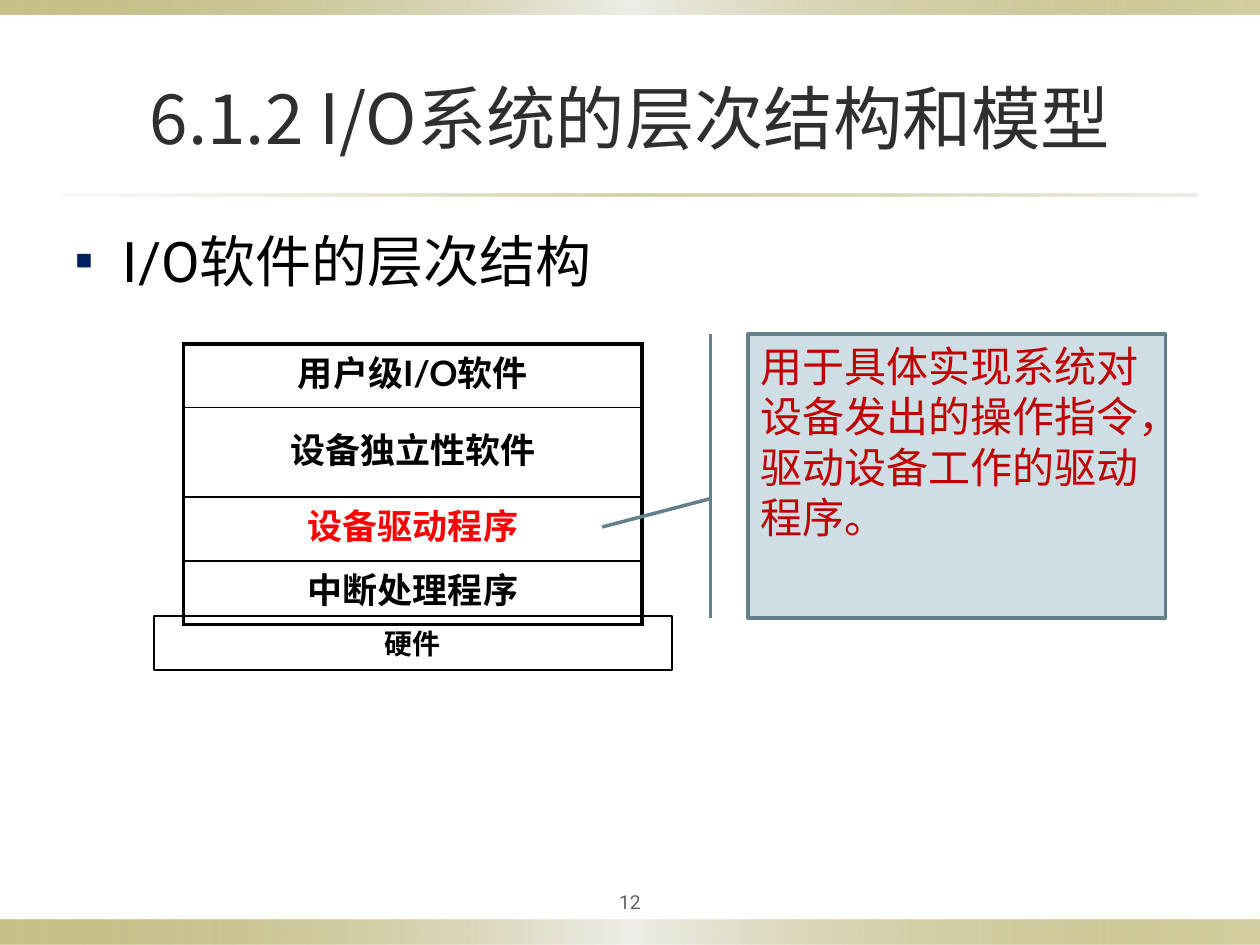
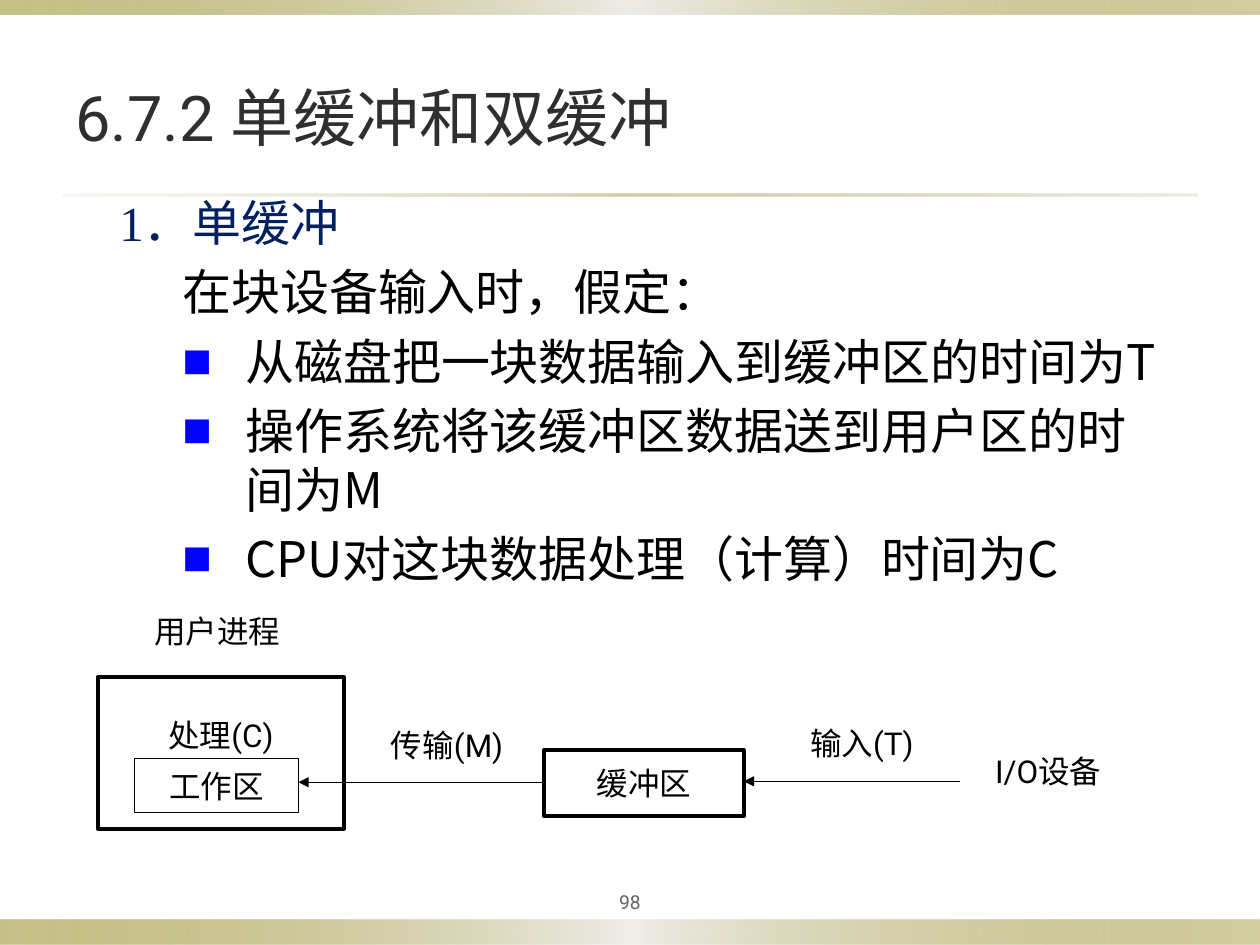
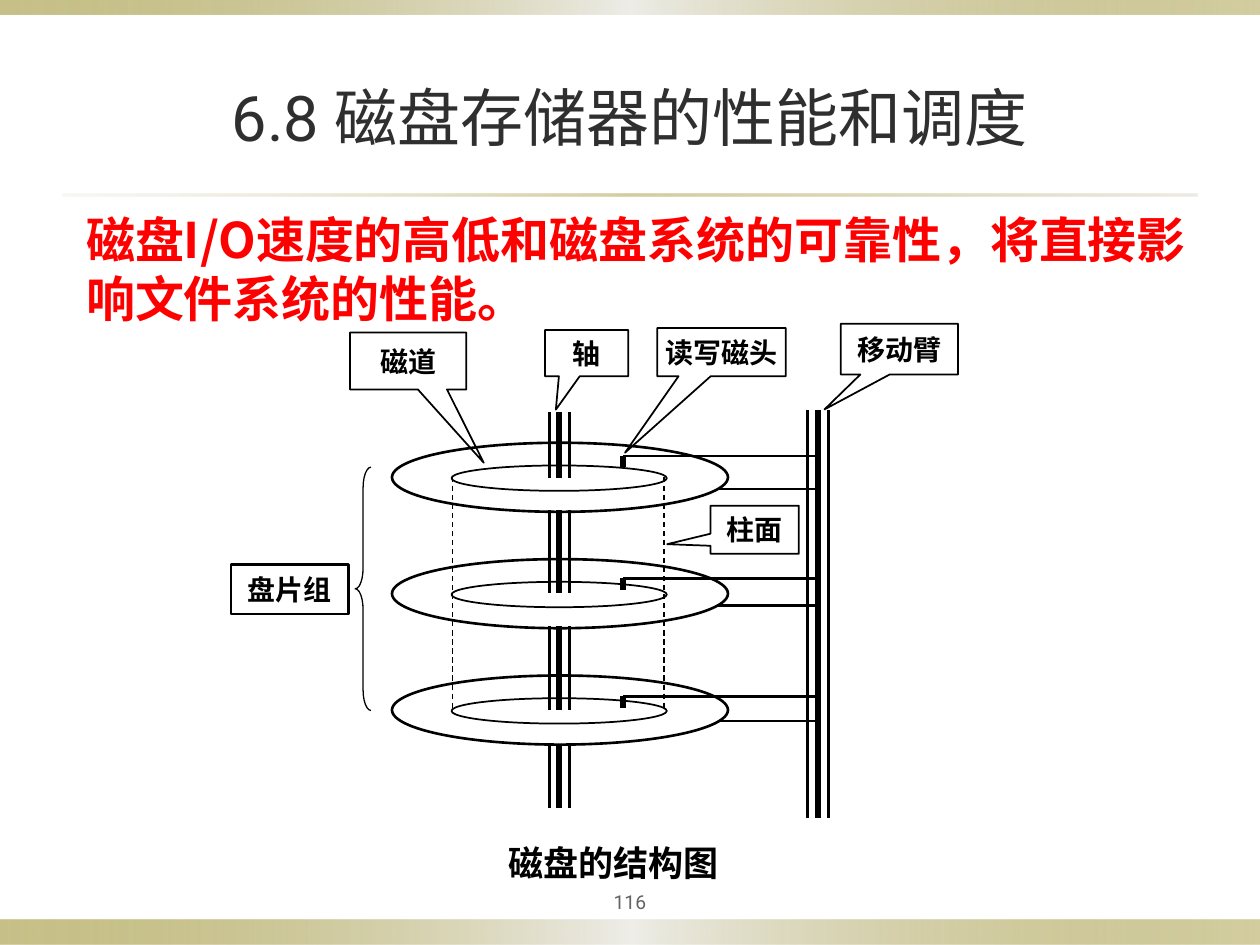
from lxml import etree
from pptx import Presentation
from pptx.dml.color import RGBColor
from pptx.enum import dml, lang, shapes, text
from pptx.oxml import ns, parse_xml
from pptx.util import Pt

BLACK = RGBColor(0x00, 0x00, 0x00)
WHITE = RGBColor(0xFF, 0xFF, 0xFF)
RED = RGBColor(0xFF, 0x00, 0x00)
BRICK = RGBColor(0xC0, 0x00, 0x00)
NAVY = RGBColor(0x00, 0x20, 0x60)
BLUE = RGBColor(0x00, 0x00, 0xFF)
INK = RGBColor(0x2F, 0x2F, 0x2F)
GRAY = RGBColor(0x63, 0x63, 0x63)
OLIVE = RGBColor(0x91, 0x84, 0x15)
PEARL = RGBColor(0xEE, 0xED, 0xE8)
SAND = RGBColor(0xDC, 0xD9, 0xCC)
MIST = RGBColor(0xCE, 0xDE, 0xE4)
STEEL = RGBColor(0x62, 0x80, 0x8B)
SANS, HAN, LATO, SERIF = "Roboto", "Noto Sans CJK SC", "Lato", "Times New Roman"
FORM = shapes.MSO_SHAPE
LEFT, MID = text.PP_ALIGN.LEFT, text.PP_ALIGN.CENTER


def style(par, words, size, face=SANS, tint=BLACK, bold=False, align=MID):
    par.text = words
    par.alignment = align
    par.line_spacing = Pt(round(size * 1.2, 1))
    font = par.font
    font.size, font.name, font.bold = Pt(size), face, bold
    font.color.rgb = tint
    font.language_id = lang.MSO_LANGUAGE_ID.SIMPLIFIED_CHINESE


def wire(page, x1, y1, x2, y2, width, dash=False, arrow=False):
    line = page.shapes.add_connector(
        shapes.MSO_CONNECTOR.STRAIGHT, Pt(x1), Pt(y1), Pt(x2), Pt(y2))
    line.line.color.rgb = BLACK
    line.line.width = Pt(width)
    if dash:
        line.line.dash_style = dml.MSO_LINE.DASH
    props = line.element.spPr
    if arrow:
        etree.SubElement(props.find(ns.qn("a:ln")), ns.qn("a:tailEnd"), type="triangle")
    etree.SubElement(props, ns.qn("a:effectLst"))


deck = Presentation()
deck.slide_width, deck.slide_height = Pt(720), Pt(540)

heads = [
    ("6.1.2 I/O系统的层次结构和模型", 39.6, HAN, MID, "12"),
    ("6.7.2 单缓冲和双缓冲", 36, SANS, LEFT, "98"),
    ("6.8 磁盘存储器的性能和调度", 36, SANS, MID, "116"),
]
pages = []
for words, size, face, align, number in heads:
    page = deck.slides.add_slide(deck.slide_layouts[1])
    pages.append(page)
    title = page.shapes.title
    title.left, title.top, title.width, title.height = Pt(36), Pt(21.5), Pt(648), Pt(90)
    title.text_frame.auto_size = text.MSO_AUTO_SIZE.NONE
    title.text_frame.vertical_anchor = text.MSO_ANCHOR.MIDDLE
    style(title.text_frame.paragraphs[0], words, size, face, INK, align=align)
    foot = page.shapes.add_textbox(Pt(324), Pt(504), Pt(72), Pt(22.5)).text_frame
    foot.word_wrap = True
    foot.vertical_anchor = text.MSO_ANCHOR.MIDDLE
    style(foot.paragraphs[0], number, 11, SANS, GRAY)
layers, buffer, disk = pages

edge = [(0, OLIVE, 50), (50, PEARL, 100), (100, OLIVE, 40)]
rule = [(0, SAND, 20), (50, OLIVE, 40), (100, SAND, 50)]
bands = [(0, 525.5, 720, 14.5, edge), (0, 0, 720, 8.5, edge), (36, 110.75, 648, 1.5, rule)]
tree = deck.slide_master.element.cSld.spTree
for index, (x, y, w, h, stops) in enumerate(bands):
    band = layers.shapes.add_shape(FORM.RECTANGLE, Pt(x), Pt(y), Pt(w), Pt(h))
    band.shadow.inherit = False
    band.line.fill.background()
    band.fill.background()
    marks = "".join(
        f'<a:gs pos="{at * 1000}"><a:srgbClr val="{tint}">'
        f'<a:alpha val="{alpha * 1000}"/></a:srgbClr></a:gs>' for at, tint, alpha in stops)
    props = band.element.spPr
    props.replace(props.find(ns.qn("a:noFill")), parse_xml(
        f'<a:gradFill {ns.nsdecls("a")}><a:gsLst>{marks}</a:gsLst><a:lin ang="0"/></a:gradFill>'))
    band.element.nvSpPr.cNvPr.set("id", str(90 + index))
    tree.insert(2 + index, band.element)

lists = [
    (layers, (36, 126, 648, 369.5), [
        ("I/O软件的层次结构", 32, SANS, BLACK, False, 0, 27, -27, NAVY, 50)]),
    (buffer, (25, 106.5, 653, 236), [
        ("1．单缓冲", 28, SERIF, NAVY, False, 1, 72, -36, None, 100),
        ("在块设备输入时，假定：", 28, HAN, BLACK, False, 2, 108, -36, None, 100),
        ("从磁盘把一块数据输入到缓冲区的时间为T", 28, HAN, BLACK, False, 2, 108, -36, BLUE, 100),
        ("操作系统将该缓冲区数据送到用户区的时间为M", 28, HAN, BLACK, False, 2, 108, -36, BLUE, 100),
        ("CPU对这块数据处理（计算）时间为C", 28, HAN, BLACK, False, 2, 108, -36, BLUE, 100)]),
    (disk, (42, 116, 668, 68.5), [
        ("磁盘I/O速度的高低和磁盘系统的可靠性，将直接影响文件系统的性能。",
         28, HAN, RED, True, 0, 0, 0, None, 100)]),
]
for page, (x, y, w, h), items in lists:
    body = page.placeholders[1]
    body.left, body.top, body.width, body.height = Pt(x), Pt(y), Pt(w), Pt(h)
    frame = body.text_frame
    frame.auto_size = text.MSO_AUTO_SIZE.NONE
    for index, (words, size, face, tint, bold, level, margin, indent, mark, scale) in enumerate(items):
        par = frame.add_paragraph() if index else frame.paragraphs[0]
        par.level = level
        par.space_before = Pt(6 if index else 0)
        props = par._p.get_or_add_pPr()
        props.set("marL", str(Pt(margin)))
        props.set("indent", str(Pt(indent)))
        if mark is None:
            etree.SubElement(props, ns.qn("a:buNone"))
        else:
            color = etree.SubElement(props, ns.qn("a:buClr"))
            etree.SubElement(color, ns.qn("a:srgbClr"), val=str(mark))
            etree.SubElement(props, ns.qn("a:buSzPct"), val=str(scale * 1000))
            etree.SubElement(props, ns.qn("a:buFont"), typeface=SERIF)
            etree.SubElement(props, ns.qn("a:buChar"), char="■")
        style(par, words, size, face, tint, bold, LEFT)

rows = [("用户级I/O软件", 36.5, BLACK), ("设备独立性软件", 51, BLACK),
        ("设备驱动程序", 36.5, RED), ("中断处理程序", 36.5, BLACK)]
table = layers.shapes.add_table(4, 1, Pt(105), Pt(196.5), Pt(262), Pt(160.5)).table
table.first_row = table.horz_banding = False
for index, (words, height, tint) in enumerate(rows):
    table.rows[index].height = Pt(height)
    cell = table.cell(index, 0)
    cell.vertical_anchor = text.MSO_ANCHOR.MIDDLE
    style(cell.text_frame.paragraphs[0], words, 20, LATO, tint, True)
    sides = {"L": 2.25, "R": 2.25, "T": 1 if index else 2.25, "B": 1 if index < 3 else 2.25}
    for side, width in sides.items():
        cell._tc.get_or_add_tcPr().append(parse_xml(
            f'<a:ln{side} {ns.nsdecls("a")} w="{Pt(width)}"><a:solidFill>'
            f'<a:srgbClr val="{BLACK}"/></a:solidFill></a:ln{side}>'))
    cell.fill.background()

hint = layers.shapes.add_shape(
    FORM.LINE_CALLOUT_1_BORDER_AND_ACCENT_BAR, Pt(427.5), Pt(191), Pt(238.5), Pt(162))
for index, value in enumerate([0.58, -0.09, 0.68, -0.35]):
    hint.adjustments[index] = value
hint.shadow.inherit = False
hint.fill.solid()
hint.fill.fore_color.rgb = MIST
hint.line.color.rgb = STEEL
hint.line.width = Pt(2)
hint.text_frame.word_wrap = True
hint.text_frame.vertical_anchor = text.MSO_ANCHOR.TOP
style(hint.text_frame.paragraphs[0], "用于具体实现系统对设备发出的操作指令，驱动设备工作的驱动程序。",
      24, SANS, BRICK, align=LEFT)

wire(buffer, 548.5, 446.5, 425, 446.5, 0.75, arrow=True)
wire(buffer, 310.5, 447, 170.5, 447, 0.75, arrow=True)

for x, width in [(461.5, 1.5), (473.5, 1.5), (467.5, 3)]:
    wire(disk, x, 234.5, x, 467.5, width)
for index, (high, low) in enumerate([(260.5, 279.5), (330.5, 346), (398, 412)]):
    top = 253 + index * 66.5
    wire(disk, 363, low, 363, low - 8.5, 3)
    wire(disk, 363, low, 467, low, 1.5)
    for x, y, w, h, width in [(224, top, 192, 39.5, 1.5), (258, top + 13, 123, 14.5, 1)]:
        ring = disk.shapes.add_shape(FORM.OVAL, Pt(x), Pt(y), Pt(w), Pt(h))
        ring.shadow.inherit = False
        ring.line.color.rgb = BLACK
        ring.line.width = Pt(width)
        if x == 224:
            ring.fill.solid()
            ring.fill.fore_color.rgb = WHITE
        else:
            ring.fill.background()
    wire(disk, 356, high, 467.5, high, 1.5)
    wire(disk, 356, high, 356, high + 6.5, 3)
for top, end in [(235.5, 273), (291.5, 339), (358, 405.5), (425, 462)]:
    for x, width in [(314, 1.5), (325.5, 1.5), (319.5, 3)]:
        wire(disk, x, top, x, end, width)
for x in (258.5, 379.5):
    wire(disk, x, 272.5, x, 405.5, 0.75, dash=True)

RECT, WEDGE = FORM.RECTANGLE, FORM.RECTANGULAR_CALLOUT
plain, bold = (18, SANS, False), (16, SANS, True)
labels = [
    (layers, RECT, (88, 352, 296, 31), (), 1.5, "硬件", bold, 1),
    (buffer, RECT, (56, 387, 140.5, 86.5), (), 2.25, "处理(C)", plain, 22),
    (buffer, RECT, (77, 433.5, 93.5, 31), (), 0.75, "工作区", plain, 1),
    (buffer, None, (50, 349, 148, 33), (), 0, "用户进程", plain, 1),
    (buffer, RECT, (311, 428.5, 114, 38), (), 2.25, "缓冲区", plain, 1),
    (buffer, None, (543, 429, 112, 30), (), 0, "I/O设备", plain, 1),
    (buffer, None, (436.5, 412.5, 112, 30), (), 0, "输入(T)", plain, 1),
    (buffer, None, (199.5, 414, 112, 30), (), 0, "传输(M)", plain, 1),
    (disk, FORM.LEFT_BRACE, (203, 267, 9, 139), (1.31, 0.5), 0.75, "", bold, 1),
    (disk, RECT, (132, 322.5, 67, 28.5), (), 1.5, "盘片组", bold, 1),
    (disk, WEDGE, (200, 190, 66.5, 32.5), (0.65, 1.79), 1, "磁道", bold, 1),
    (disk, WEDGE, (311.5, 188.5, 47.5, 26.5), (-0.37, 1.22), 1, "轴", bold, 1),
    (disk, WEDGE, (375.5, 187.5, 73.5, 27.5), (-0.75, 2.09), 1, "读写磁头", bold, 1),
    (disk, WEDGE, (480.5, 185, 67, 29), (-0.64, 1.19), 1, "移动臂", bold, 1),
    (disk, None, (250.5, 480, 200, 26), (), 0, "磁盘的结构图", (20, LATO, True), 1),
    (disk, WEDGE, (406, 289, 50.5, 27.5), (-0.99, 0.3), 1, "柱面", bold, 1),
]
for page, kind, place, bends, width, words, (size, face, heavy), base in labels:
    spot = [Pt(value) for value in place]
    if kind is None:
        label = page.shapes.add_textbox(*spot)
    else:
        label = page.shapes.add_shape(kind, *spot)
        label.shadow.inherit = False
        label.fill.background()
        label.line.color.rgb = BLACK
        label.line.width = Pt(width)
        label.text_frame.vertical_anchor = text.MSO_ANCHOR.MIDDLE
        for index, bend in enumerate(bends):
            label.adjustments[index] = bend
    if words:
        frame = label.text_frame
        frame.word_wrap = True
        frame.margin_left = frame.margin_right = Pt(1.5)
        frame.margin_top, frame.margin_bottom = Pt(1), Pt(base)
        style(frame.paragraphs[0], words, size, face, BLACK, heavy)

deck.save("out.pptx")
